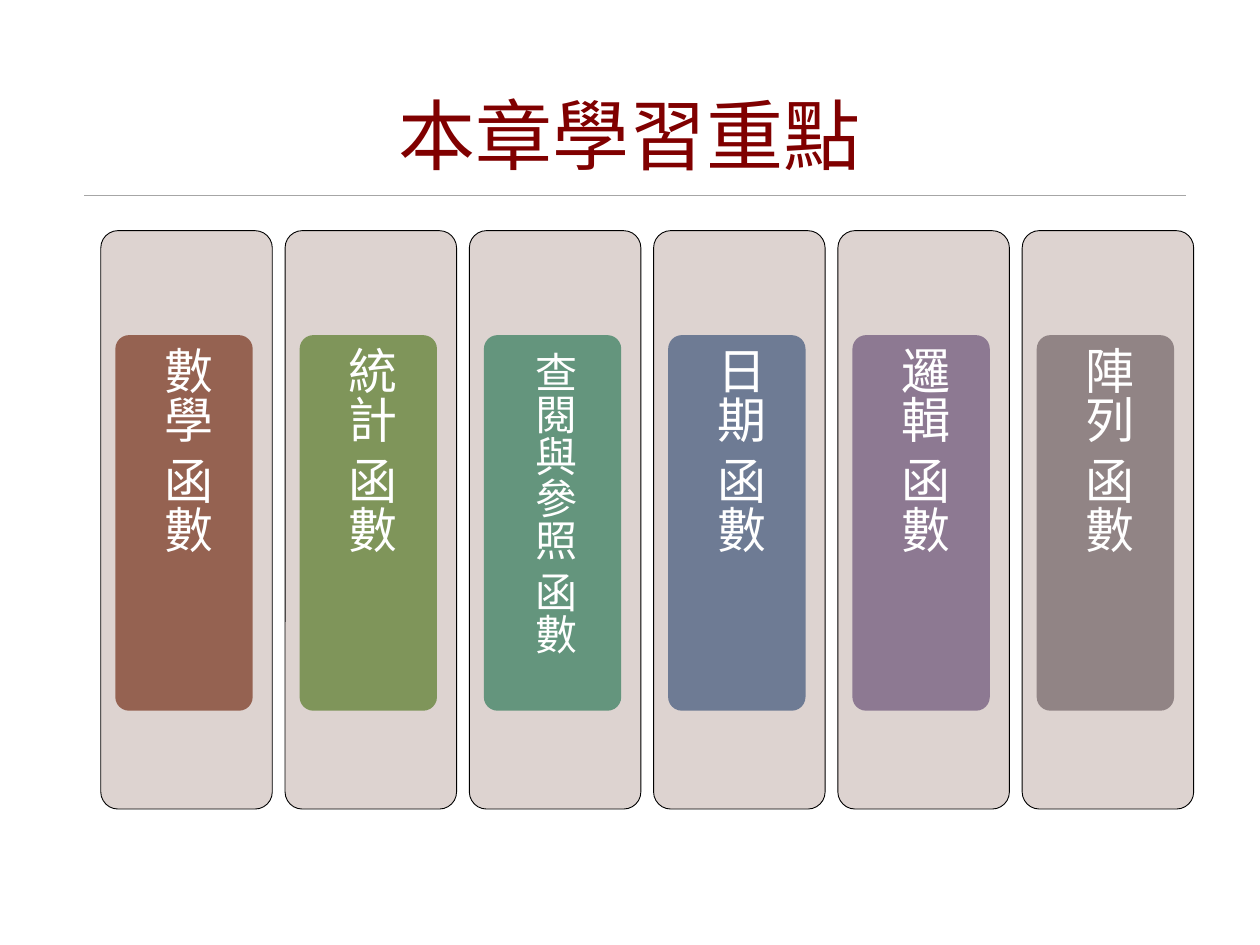
from dataclasses import dataclass

from lxml.etree import SubElement
from pptx import Presentation
from pptx.dml.color import RGBColor
from pptx.enum.shapes import MSO_CONNECTOR, MSO_SHAPE
from pptx.enum.text import MSO_ANCHOR, PP_ALIGN
from pptx.oxml.ns import qn
from pptx.util import Pt

FONT_NAME = "Times New Roman"
FIRST_LEFT = 57.6
COLUMN_PITCH = 105.3
CARD_INSET = 8.3
LABEL_INSET = 2.3


@dataclass(frozen=True)
class Topic:
    label: str
    color: str
    size: float = 28
    margin_across: float = 5.6
    margin_down: float = 4.2


@dataclass(frozen=True)
class Box:
    left: float
    top: float
    width: float
    height: float

    def lengths(self) -> tuple:
        return Pt(self.left), Pt(self.top), Pt(self.width), Pt(self.height)


TOPICS = [
    Topic("數學 函數", "956251"),
    Topic("統計 函數", "7F955A"),
    Topic("查閱與參照 函數", "64957D", 24, 4.8, 3.6),
    Topic("日期 函數", "6E7B94"),
    Topic("邏輯 函數", "8D7992"),
    Topic("陣列 函數", "918485"),
]


def rgb(color: str) -> RGBColor:
    return RGBColor.from_string(color)


def add_rounded(slide, box: Box, fill: str, outline: str | None = None) -> None:
    shape = slide.shapes.add_shape(MSO_SHAPE.ROUNDED_RECTANGLE, *box.lengths())
    shape.adjustments[0] = 0.1
    shape.shadow.inherit = False
    shape.fill.solid()
    shape.fill.fore_color.rgb = rgb(fill)
    if outline:
        shape.line.color.rgb = rgb(outline)
        shape.line.width = Pt(0.5)
    else:
        shape.line.fill.background()


def add_text(slide, box: Box, text: str, size: float, color: str):
    text_frame = slide.shapes.add_textbox(*box.lengths()).text_frame
    text_frame.word_wrap = True
    text_frame.vertical_anchor = MSO_ANCHOR.MIDDLE
    paragraph = text_frame.paragraphs[0]
    paragraph.text = text
    paragraph.alignment = PP_ALIGN.CENTER
    paragraph.line_spacing = 0.9
    paragraph.font.name = FONT_NAME
    paragraph.font.size = Pt(size)
    paragraph.font.color.rgb = rgb(color)
    return text_frame


def add_rule(slide) -> None:
    rule = slide.shapes.add_connector(
        MSO_CONNECTOR.STRAIGHT, Pt(48.2), Pt(111.6), Pt(677.5), Pt(111.6)
    )
    rule.line.color.rgb = rgb("A6A6A6")
    rule.line.width = Pt(0.5)
    SubElement(rule._element.spPr, qn("a:effectLst"))


def add_topic(slide, topic: Topic, left: float) -> None:
    card_left = left + CARD_INSET
    add_rounded(slide, Box(left, 131.8, 98, 330.5), "DDD3D0", "000000")
    add_rounded(slide, Box(card_left, 191.5, 78.5, 214.6), topic.color)
    label_box = Box(card_left + LABEL_INSET, 193.7, 73.4, 210.2)
    text_frame = add_text(slide, label_box, topic.label, topic.size, "FFFFFF")
    text_frame.margin_left = text_frame.margin_right = Pt(topic.margin_across)
    text_frame.margin_top = text_frame.margin_bottom = Pt(topic.margin_down)
    text_frame._txBody.bodyPr.set("vert", "eaVert")


def main() -> None:
    presentation = Presentation()
    presentation.slide_width = Pt(720)
    presentation.slide_height = Pt(540)
    slide = presentation.slides.add_slide(presentation.slide_layouts[6])
    add_rule(slide)
    add_text(slide, Box(49.7, 38.2, 620.6, 82.8), "本章學習重點", 44, "800000")
    for index, topic in enumerate(TOPICS):
        add_topic(slide, topic, FIRST_LEFT + index * COLUMN_PITCH)
    presentation.save("out.pptx")


if __name__ == "__main__":
    main()
